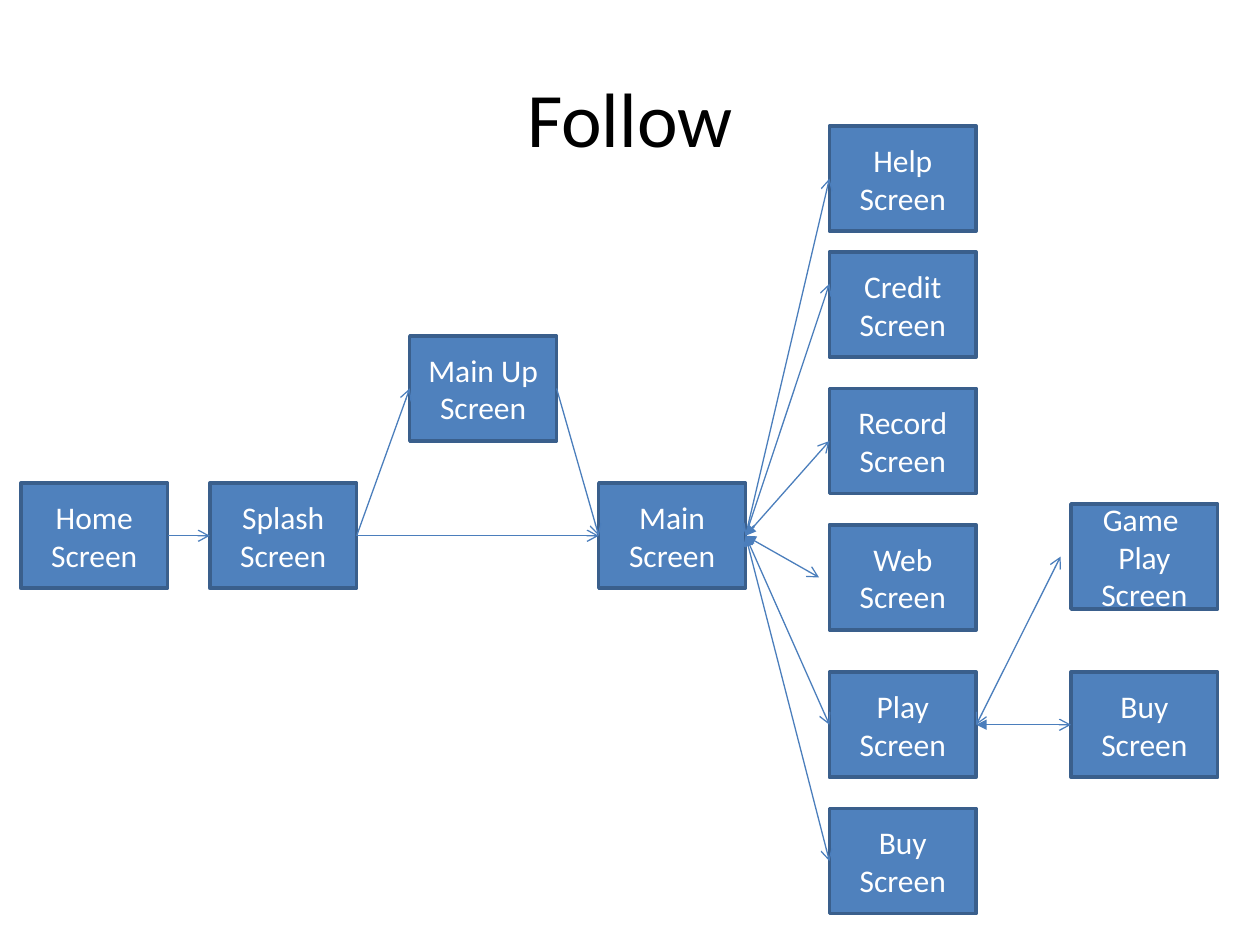
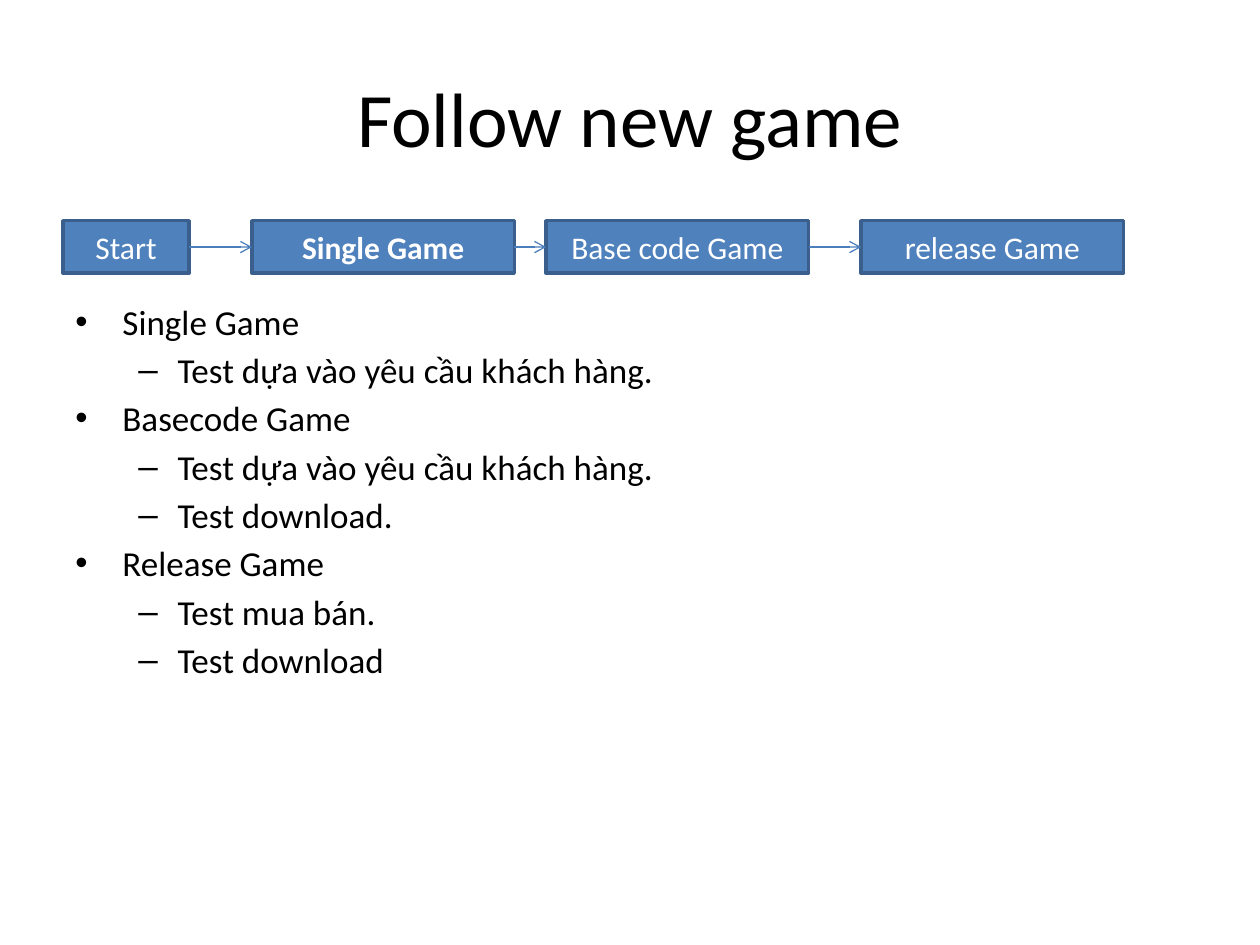
import pptx
import pptx.util
import pptx.dml.color
import pptx.enum.shapes
import pptx.enum.text
import lxml.etree
from collections import namedtuple
from dataclasses import dataclass
from pptx.util import Cm, Pt

Box = namedtuple("Box", "left top width height")
RGB = pptx.dml.color.RGBColor.from_string
ALIGN = pptx.enum.text.PP_ALIGN
ANCHOR = pptx.enum.text.MSO_ANCHOR
A = "{http://schemas.openxmlformats.org/drawingml/2006/main}"
LEFT_SITE, RIGHT_SITE = 1, 3


@dataclass(frozen=True)
class Theme:
    font: str = "Calibri"
    text: str = "000000"
    step_fill: str = "4F81BD"
    step_line: str = "3A5F8C"
    step_text: str = "FFFFFF"
    arrow: str = "4B7EBC"
    title_size: float = 44
    body_size: float = 20
    step_size: float = 18
    step_border: float = 2
    arrow_width: float = 0.75
    paragraph_gap: float = 3.6


THEME = Theme()
TITLE_AREA = Box(1.27, 0.76, 22.86, 3.18)


# Shared parts
def style_text(frame, size, color, align, bold=None):
    frame.word_wrap = True
    for paragraph in frame.paragraphs:
        paragraph.alignment = align
        for run in paragraph.runs:
            run.font.name = THEME.font
            run.font.size = Pt(size)
            run.font.bold = bold
            run.font.color.rgb = RGB(color)


def add_title(slide, text):
    frame = slide.shapes.add_textbox(*map(Cm, TITLE_AREA)).text_frame
    frame.text = text
    frame.vertical_anchor = ANCHOR.MIDDLE
    style_text(frame, THEME.title_size, THEME.text, ALIGN.CENTER)


def add_step(slide, box, label, bold=None):
    step = slide.shapes.add_shape(
        pptx.enum.shapes.MSO_SHAPE.RECTANGLE, *map(Cm, box))
    step.shadow.inherit = False
    step.fill.solid()
    step.fill.fore_color.rgb = RGB(THEME.step_fill)
    step.line.color.rgb = RGB(THEME.step_line)
    step.line.width = Pt(THEME.step_border)
    step.text_frame.text = label
    step.text_frame.vertical_anchor = ANCHOR.MIDDLE
    style_text(step.text_frame, THEME.step_size, THEME.step_text,
               ALIGN.CENTER, bold)
    return step


def add_arrow(slide, source, target, back=None, nudge=None):
    """Join right side to left side; a nudge moves the end off the middle."""
    dx, dy = nudge or (0, 0)
    arrow = slide.shapes.add_connector(
        pptx.enum.shapes.MSO_CONNECTOR.STRAIGHT,
        source.left + source.width, source.top + source.height // 2,
        target.left + Cm(dx), target.top + target.height // 2 + Cm(dy))
    arrow.begin_connect(source, RIGHT_SITE)
    if nudge is None:
        arrow.end_connect(target, LEFT_SITE)
    arrow.line.color.rgb = RGB(THEME.arrow)
    arrow.line.width = Pt(THEME.arrow_width)
    outline = arrow.line._get_or_add_ln()
    if back:
        lxml.etree.SubElement(outline, A + "headEnd", type=back)
    lxml.etree.SubElement(outline, A + "tailEnd", type="arrow")
    lxml.etree.SubElement(arrow._element.spPr, A + "effectLst")


# Map of the screens
def add_screen_map(slide, area):
    width, height = 2.96, 2.12
    columns = (0, 3.81, 7.84, 11.65, 16.3, 21.17)
    screens = {  # key: (label, column, top)
        "home": ("Home Screen", 0, 7.2),
        "splash": ("Splash Screen", 1, 7.2),
        "main up": ("Main Up Screen", 2, 4.23),
        "main": ("Main Screen", 3, 7.2),
        "help": ("Help Screen", 4, 0),
        "credit": ("Credit Screen", 4, 2.54),
        "record": ("Record Screen", 4, 5.29),
        "web": ("Web Screen", 4, 8.04),
        "play": ("Play Screen", 4, 11.01),
        "buy": ("Buy Screen", 4, 13.76),
        "game play": ("Game \nPlay Screen", 5, 7.62),
        "play buy": ("Buy Screen", 5, 11.01),
    }
    routes = (  # source, target, arrowhead back at the source, end nudge
        ("home", "splash", None, None),
        ("splash", "main", None, None),
        ("splash", "main up", None, None),
        ("main up", "main", None, None),
        ("main", "help", "arrow", None),
        ("main", "credit", "arrow", (0, -0.42)),
        ("main", "record", "triangle", None),
        ("main", "web", "triangle", (-0.21, 0)),
        ("main", "play", "triangle", None),
        ("main", "buy", "triangle", None),
        ("play", "play buy", "triangle", None),
        ("play", "game play", "arrow", (-0.21, 0)),
    )
    steps = {
        key: add_step(slide, Box(area.left + columns[column], area.top + top,
                                 width, height), label)
        for key, (label, column, top) in screens.items()
    }
    for source, target, back, nudge in routes:
        add_arrow(slide, steps[source], steps[target], back, nudge)


# Row of stages
def add_stage_row(slide, area):
    stages = (  # label, left, width, bold
        ("Start", 0, 2.54, None),
        ("Single Game", 3.81, 5.29, True),
        ("Base code Game", 9.74, 5.29, None),
        ("release Game", 16.09, 5.29, None),
    )
    steps = [
        add_step(slide, Box(area.left + left, area.top, width, area.height),
                 label, bold)
        for label, left, width, bold in stages
    ]
    for source, target in zip(steps, steps[1:]):
        add_arrow(slide, source, target)


# Two-level list of tests
def add_test_list(slide, area):
    tests = (
        ("Single Game", ("Test dựa vào yêu cầu khách hàng.",)),
        ("Basecode Game", ("Test dựa vào yêu cầu khách hàng.",
                           "Test download.")),
        ("Release Game", ("Test mua bán.", "Test download")),
    )
    levels = (("•", 0.95, -0.95), ("–", 2.06, -0.79))  # mark, margin, indent
    lines = []
    for stage, checks in tests:
        lines += [(0, stage)] + [(1, check) for check in checks]

    frame = slide.shapes.add_textbox(*map(Cm, area)).text_frame
    frame.text = "\n".join(text for _, text in lines)
    style_text(frame, THEME.body_size, THEME.text, ALIGN.LEFT)
    for paragraph, (level, _) in zip(frame.paragraphs, lines):
        mark, margin, indent = levels[level]
        paragraph.level = level
        paragraph.space_before = Pt(THEME.paragraph_gap)
        properties = paragraph._p.get_or_add_pPr()
        properties.set("marL", str(Cm(margin)))
        properties.set("indent", str(Cm(indent)))
        lxml.etree.SubElement(properties, A + "buFont", typeface="Arial")
        lxml.etree.SubElement(properties, A + "buChar", char=mark)


# Slides
def build_screen_slide(slide):
    add_title(slide, "Follow")
    add_screen_map(slide, Box(0.42, 2.54, 24.13, 15.88))


def build_new_game_slide(slide):
    add_title(slide, "Follow new game")
    add_test_list(slide, Box(1.27, 5.93, 22.86, 11.1))
    add_stage_row(slide, Box(1.27, 4.45, 21.38, 1.06))


deck = pptx.Presentation()
deck.slide_width, deck.slide_height = Cm(25.4), Cm(19.05)
blank = deck.slide_layouts[6]
for build in (build_screen_slide, build_new_game_slide):
    build(deck.slides.add_slide(blank))
deck.save("out.pptx")
